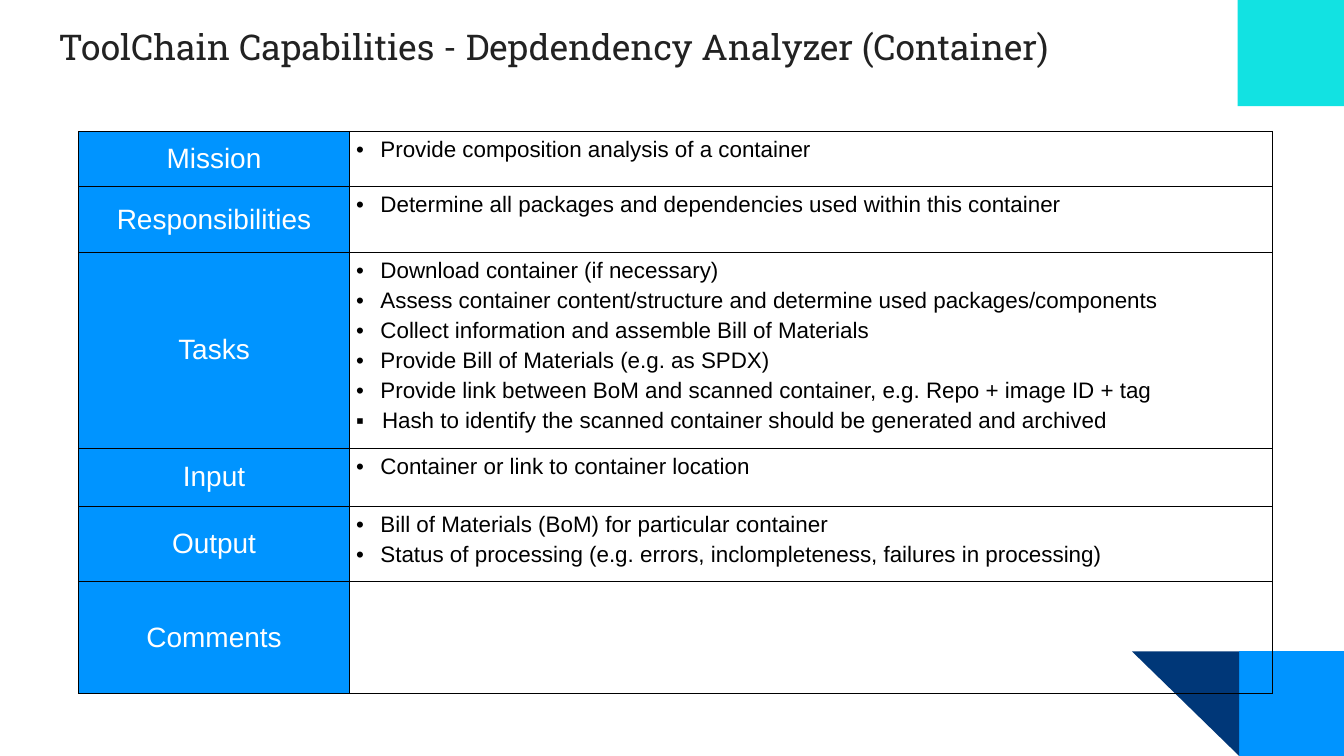
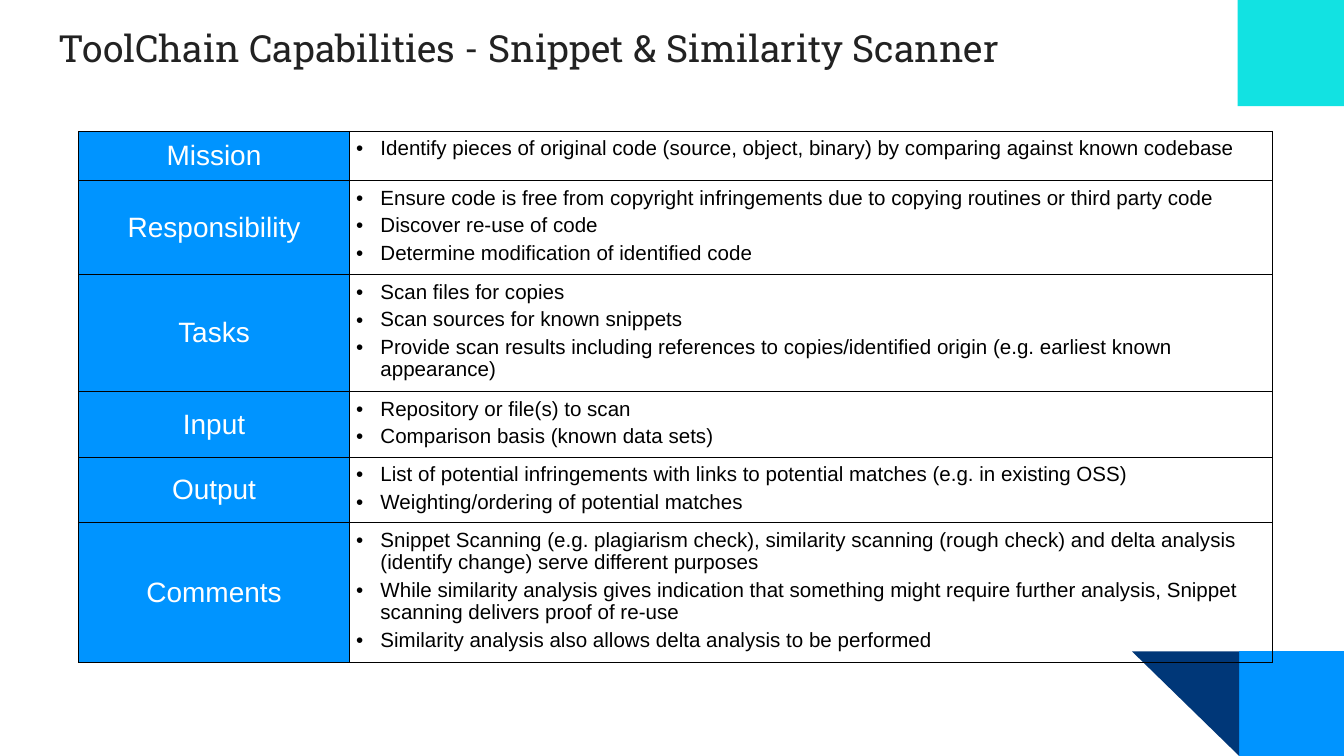
from lxml import etree
from pptx import Presentation, util as u
from pptx.dml.color import RGBColor
from pptx.enum import shapes, text
from pptx.oxml.ns import qn

HUES = {"blue": "0094FF", "navy": "003778", "cyan": "12E2E2",
        "ink": "222222", "black": "000000", "white": "FFFFFF"}
WIDE, HIGH = 25.4, 14.29
TILE = 1.98
COLS = [5.11, 17.45]

DEPS = [
    ("Mission", 1.04, ["Provide composition analysis of a container"]),
    ("Responsibilities", 1.25, [
        "Determine all packages and dependencies used within this container"]),
    ("Tasks", 3.7, [
        "Download container (if necessary)",
        "Assess container content/structure and determine used packages/components",
        "Collect information and assemble Bill of Materials",
        "Provide Bill of Materials (e.g. as SPDX)",
        "Provide link between BoM and scanned container, e.g. Repo + image ID + tag",
        ("▪", "Hash to identify the scanned container should be generated and archived")]),
    ("Input", 1.1, ["Container or link to container location"]),
    ("Output", 1.42, [
        "Bill of Materials (BoM) for particular container",
        "Status of processing (e.g. errors, inclompleteness, failures in processing)"]),
    ("Comments", 2.12, []),
]

SCAN = [
    ("Mission", 0.93, [
        "Identify pieces of original code (source, object, binary) by comparing against known codebase"]),
    ("Responsibility", 1.78, [
        "Ensure code is free from copyright infringements due to copying routines or third party code",
        "Discover re-use of code",
        "Determine modification of identified code"]),
    ("Tasks", 2.21, [
        "Scan files for copies",
        "Scan sources for known snippets",
        "Provide scan results including references to copies/identified origin (e.g. earliest known appearance)"]),
    ("Input", 1.24, [
        "Repository or file(s) to scan",
        "Comparison basis (known data sets)"]),
    ("Output", 1.24, [
        "List of potential infringements with links to potential matches (e.g. in existing OSS)",
        "Weighting/ordering of potential matches"]),
    ("Comments", 2.65, [
        "Snippet Scanning (e.g. plagiarism check), similarity scanning (rough check) and delta analysis (identify change) serve different purposes",
        "While similarity analysis gives indication that something might require further analysis, Snippet scanning delivers proof of re-use",
        "Similarity analysis also allows delta analysis to be performed"]),
]


def hue(name):
    return RGBColor.from_string(HUES[name])


def style(para, size, color, face="Arial"):
    for run in para.runs:
        run.font.size = u.Pt(size)
        run.font.name = face
        run.font.color.rgb = hue(color)


def block(slide, kind, left, top, wide, high, color, turn=0):
    shape = slide.shapes.add_shape(kind, u.Cm(left), u.Cm(top), u.Cm(wide), u.Cm(high))
    shape.shadow.inherit = False
    shape.fill.solid()
    shape.fill.fore_color.rgb = hue(color)
    shape.line.fill.background()
    shape.rotation = turn


def decor(slide):
    kinds = shapes.MSO_SHAPE
    edge, base = WIDE - TILE, HIGH - TILE
    block(slide, kinds.RECTANGLE, edge, base, TILE, TILE, "blue")
    block(slide, kinds.RIGHT_TRIANGLE, edge - 2.03, base, 2.03, TILE, "navy", 180)
    block(slide, kinds.RECTANGLE, WIDE - 2.01, 0, 2.01, 2.01, "cyan")


def heading(slide, words, size):
    title = slide.shapes.title
    title.left, title.top = u.Cm(0.86), u.Cm(0.23)
    title.width, title.height = u.Cm(23.67), u.Cm(1.68)
    frame = title.text_frame
    frame.text = words
    frame.word_wrap = True
    frame.auto_size = text.MSO_AUTO_SIZE.NONE
    frame.vertical_anchor = text.MSO_ANCHOR.TOP
    frame.margin_left = frame.margin_right = u.Cm(0.25)
    frame.margin_top = frame.margin_bottom = u.Cm(0.25)
    para = frame.paragraphs[0]
    para.alignment = text.PP_ALIGN.LEFT
    style(para, size, "ink", "Roboto Slab")


def border(cell):
    props = cell._tc.get_or_add_tcPr()
    for side in ("lnL", "lnR", "lnT", "lnB"):
        line = etree.SubElement(props, qn("a:" + side), w=str(u.Pt(0.5)))
        fill = etree.SubElement(line, qn("a:solidFill"))
        etree.SubElement(fill, qn("a:srgbClr"), val=HUES["black"])


def inset(cell, gap):
    cell.margin_left = cell.margin_right = u.Cm(gap)
    cell.margin_top = cell.margin_bottom = u.Cm(gap)


def label(cell, words):
    border(cell)
    inset(cell, 0)
    cell.fill.solid()
    cell.fill.fore_color.rgb = hue("blue")
    cell.vertical_anchor = text.MSO_ANCHOR.MIDDLE
    cell.text_frame.text = words
    para = cell.text_frame.paragraphs[0]
    para.alignment = text.PP_ALIGN.CENTER
    style(para, 15, "white")


def bullet(para, mark):
    props = para._p.get_or_add_pPr()
    dent = u.Cm(0.46 if mark == "•" else 0.49)
    props.set("marL", str(dent))
    props.set("indent", str(-dent))
    color = etree.SubElement(props, qn("a:buClr"))
    etree.SubElement(color, qn("a:srgbClr"), val=HUES["black"])
    etree.SubElement(props, qn("a:buFont"), typeface="Arial")
    etree.SubElement(props, qn("a:buChar"), char=mark)


def points(cell, items, size):
    border(cell)
    inset(cell, 0.13)
    cell.fill.background()
    frame = cell.text_frame
    for i, item in enumerate(items):
        mark, words = item if isinstance(item, tuple) else ("•", item)
        para = frame.add_paragraph() if i else frame.paragraphs[0]
        para.text = words
        bullet(para, mark)
        para.line_spacing = 0.97
        para.space_before = u.Pt(3 if i else 0)
        style(para, size, "black")


def grid(slide, rows, size):
    high = sum(row[1] for row in rows)
    table = slide.shapes.add_table(len(rows), len(COLS), u.Cm(1.49), u.Cm(2.48),
                                   u.Cm(sum(COLS)), u.Cm(high)).table
    table.first_row = table.horz_banding = False
    for col, wide in zip(table.columns, COLS):
        col.width = u.Cm(wide)
    for i, (name, tall, items) in enumerate(rows):
        table.rows[i].height = u.Cm(tall)
        label(table.cell(i, 0), name)
        points(table.cell(i, 1), items, size)


def page(deck, words, head, rows, size):
    slide = deck.slides.add_slide(deck.slide_layouts[5])
    decor(slide)
    heading(slide, words, head)
    grid(slide, rows, size)


def main():
    deck = Presentation()
    deck.slide_width, deck.slide_height = u.Cm(WIDE), u.Cm(HIGH)
    lead = "ToolChain Capabilities - "
    page(deck, lead + "Depdendency Analyzer (Container)", 19, DEPS, 12)
    page(deck, lead + "Snippet & Similarity Scanner", 20, SCAN, 11)
    deck.save("out.pptx")


if __name__ == "__main__":
    main()
